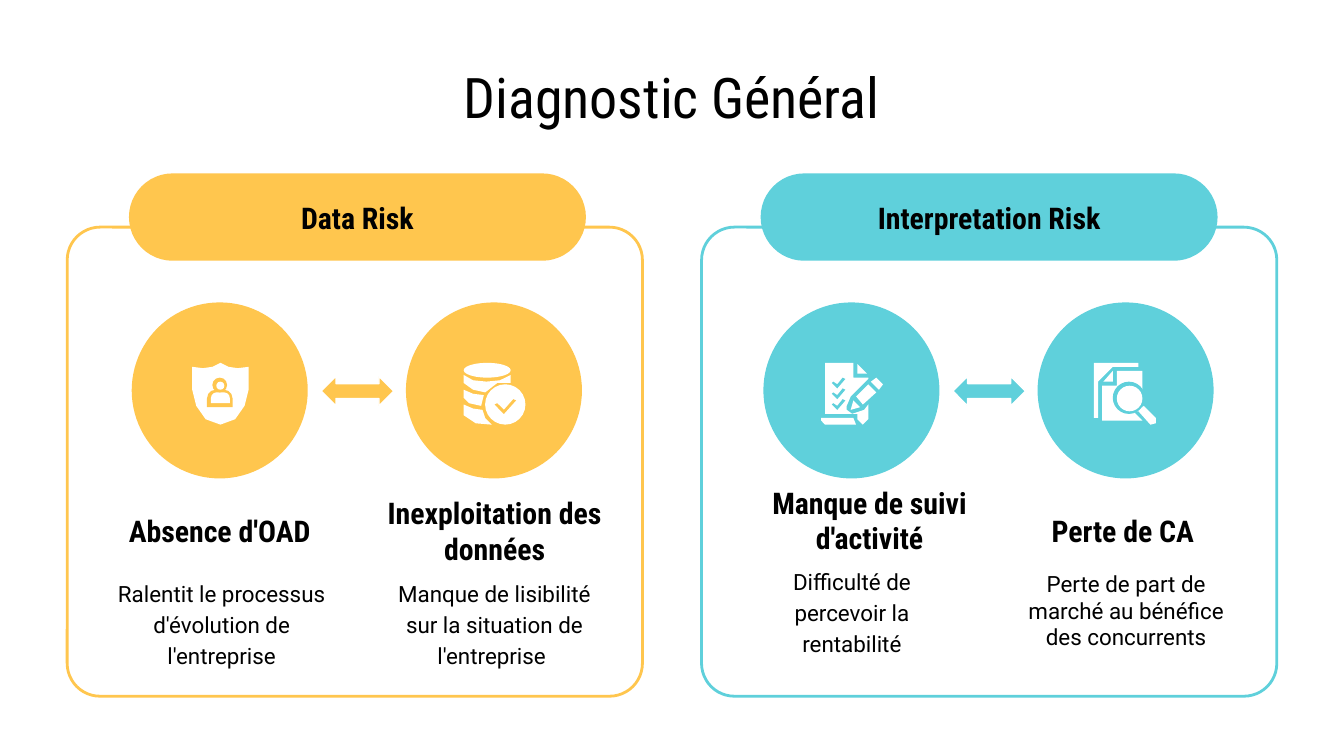
from pptx import Presentation
from pptx.dml.color import RGBColor as Rgb
from pptx.enum.shapes import MSO_SHAPE as Kind
from pptx.enum.text import MSO_ANCHOR as Anchor, PP_ALIGN as Align
from pptx.util import Pt

PX = 9144
THEME = {
    "white": Rgb.from_string("FFFFFF"),
    "black": Rgb.from_string("000000"),
    "gold": Rgb.from_string("FFC64E"),
    "teal": Rgb.from_string("5FD0DB"),
    "title": {"name": "Roboto Condensed", "size": Pt(30), "bold": False},
    "head": {"name": "Roboto Condensed", "size": Pt(16), "bold": True},
    "body": {"name": "Roboto", "size": Pt(12), "bold": False},
}

deck = Presentation()
deck.slide_width = 1000 * PX
deck.slide_height = deck.slide_width * 9 // 16
slide = deck.slides.add_slide(deck.slide_layouts[6])
shapes = slide.shapes


def draw(form, fill, spot, line=None, width=1.5, bend=None):
    if form == "poly":
        pen = shapes.build_freeform(*spot[0], scale=PX)
        pen.add_line_segments(spot[1:], close=True)
        shape = pen.convert_to_shape()
    else:
        shape = shapes.add_shape(form, *[n * PX for n in spot])
    shape.shadow.inherit = False
    shape.fill.solid()
    shape.fill.fore_color.rgb = THEME[fill]
    if line:
        shape.line.color.rgb = THEME[line]
        shape.line.width = Pt(width)
    else:
        shape.line.fill.background()
    if bend is not None:
        shape.adjustments[0] = bend


def write(text, style, spot, space=None, inset=20):
    frame = shapes.add_textbox(*[n * PX for n in spot]).text_frame
    form = {"word_wrap": True, "vertical_anchor": Anchor.MIDDLE,
            "margin_left": inset * PX, "margin_right": inset * PX,
            "margin_top": 0, "margin_bottom": 0}
    for key, value in form.items():
        setattr(frame, key, value)
    para = frame.paragraphs[0]
    para.alignment = Align.CENTER
    if space:
        para.line_spacing = space
    run = para.add_run()
    run.text = text
    for key, value in THEME[style].items():
        setattr(run.font, key, value)
    run.font.color.rgb = THEME["black"]


check = [(51, 60), (52, 59), (55, 61), (59, 56), (61, 57), (55, 64)]
shield = [
    ("poly", "white", [(66, 45), (60, 48), (53, 49), (45, 48), (45, 65), (48, 77), (55, 87),
                       (66, 91), (77, 87), (84, 77), (87, 65), (87, 48), (79, 49), (72, 48)]),
    (Kind.ROUND_2_SAME_RECTANGLE, "tint", (56, 65, 19, 13)),
    (Kind.ROUND_2_SAME_RECTANGLE, "white", (59, 67, 14, 8)),
    (Kind.OVAL, "tint", (60, 56, 11, 11)),
    (Kind.OVAL, "white", (63, 59, 6, 6)),
]
store = [
    (Kind.OVAL, "white", (43, 45, 35, 11)),
    ("poly", "white", [(43, 54), (50, 58), (60, 59), (70, 58), (78, 54), (78, 60), (68, 60),
                       (59, 67), (50, 65), (43, 60)]),
    ("poly", "white", [(43, 65), (50, 68), (58, 69), (56, 77), (47, 75), (43, 71)]),
    ("poly", "white", [(43, 76), (50, 79), (57, 80), (59, 86), (64, 91), (52, 90), (43, 84)]),
    (Kind.OVAL, "white", (59, 61, 30, 30)),
    ("poly", "tint", [(66, 76), (68, 75), (73, 80), (80, 72), (82, 73), (73, 83)]),
]
tasks = [
    ("poly", "white", [(46, 45), (67, 45), (67, 56), (78, 56), (78, 57), (65, 70), (62, 77),
                       (62, 80), (66, 83), (75, 80), (78, 76), (78, 87), (74, 91), (70, 87),
                       (70, 83), (46, 83)]),
    *[("poly", "tint", [(x, y + drop) for x, y in check]) for drop in (0, 8, 16)],
    ("poly", "white", [(70, 46), (70, 53), (77, 53)]),
    ("poly", "white", [(43, 86), (67, 86), (69, 91), (46, 91), (43, 88)]),
    ("poly", "white", [(80, 59), (84, 56), (89, 61), (86, 65)]),
    ("poly", "white", [(78, 61), (84, 67), (74, 76), (69, 70)]),
    ("poly", "white", [(67, 73), (72, 78), (65, 80)]),
]
search = [
    ("poly", "white", [(42, 45), (75, 45), (75, 48), (56, 48), (45, 59), (45, 86), (42, 86)]),
    ("poly", "white", [(56, 51), (56, 59), (49, 59)]),
    ("poly", "white", [(59, 51), (78, 51), (78, 80), (72, 82), (78, 88), (48, 88), (48, 62),
                       (59, 62)]),
    (Kind.OVAL, "tint", (56, 59, 24, 24)),
    (Kind.OVAL, "white", (59, 62, 19, 19)),
    ("poly", "white", [(79, 77), (88, 86), (88, 90), (84, 91), (75, 81)]),
]

panels = [
    ("Data Risk", "gold", 50, 96, [
        (shield, "Absence d'OAD", (64, 377, 199, 36),
         "Ralentit le processus d'évolution de l'entreprise", (67, 422, 196, 82), 1.15),
        (store, "Inexploitation des données", (244, 377, 248, 36),
         "Manque de lisibilité sur la situation de l'entreprise ", (270, 422, 196, 82), 1.15),
    ]),
    ("Interpretation Risk", "teal", 522, 566, [
        (tasks, "Manque de suivi d'activité", (522, 369, 250, 36),
         "Difficulté de percevoir la rentabilité", (536, 413, 196, 82), 1.15),
        (search, "Perte de CA ", (732, 377, 212, 36),
         "Perte de part de marché au bénéfice des concurrents", (740, 413, 196, 82), None),
    ]),
]

write("Diagnostic Général", "title", (50, 45, 900, 53), inset=10)
for name, tint, edge, left, items in panels:
    draw(Kind.ROUNDED_RECTANGLE, "white", (edge, 169, 428, 349), tint, bend=0.07)
    draw(Kind.ROUNDED_RECTANGLE, tint, (left, 129, 340, 65), bend=0.5)
    write(name, "head", (left + 46, 144, 248, 36))
    draw(Kind.LEFT_RIGHT_ARROW, tint, (left + 143, 280, 54, 22), "white", 0.75)
    for col, (icon, head, top, body, base, space) in enumerate(items):
        x0, y0 = left + 2 + 204 * col, 225
        draw(Kind.OVAL, tint, (x0, y0, 131, 131))
        for form, fill, spot in icon:
            if form == "poly":
                place = [(x0 + x, y0 + y) for x, y in spot]
            else:
                place = (x0 + spot[0], y0 + spot[1], *spot[2:])
            bend = 0.5 if form == Kind.ROUND_2_SAME_RECTANGLE else None
            draw(form, tint if fill == "tint" else fill, place, bend=bend)
        write(head, "head", top)
        write(body, "body", base, space)

deck.save("out.pptx")
